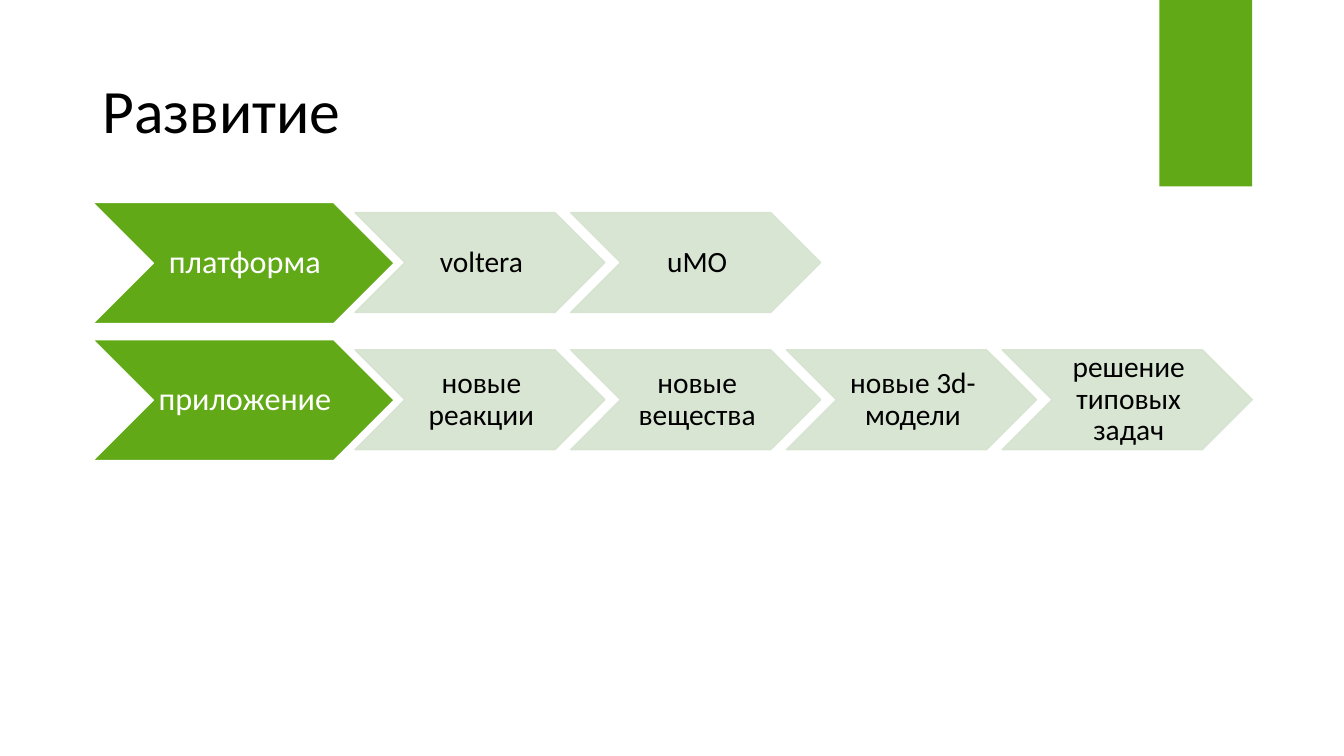
from pptx import Presentation
from pptx.dml.color import RGBColor
from pptx.enum.shapes import MSO_SHAPE
from pptx.enum.text import MSO_ANCHOR, PP_ALIGN
from pptx.oxml.ns import qn
from pptx.util import Inches, Pt
from lxml import etree

RECT, CHEVRON = MSO_SHAPE.RECTANGLE, MSO_SHAPE.CHEVRON
MIDDLE = MSO_ANCHOR.MIDDLE
LEFT, CENTER = PP_ALIGN.LEFT, PP_ALIGN.CENTER

COLORS = {"green": "61A917", "pale": "D5E3CF", "white": "FFFFFF", "black": "000000"}
FONT = "Calibri"

# Chevron formats
HEAD = {"fill": "green", "line": "white", "color": "white", "size": 23, "pad": 0.02}
STEP = {"fill": "pale", "line": "pale", "color": "black", "size": 21, "pad": 0.01,
        "opacity": 90}

ROWS = [
    ("платформа", ["voltera", "uMO"]),
    ("приложение", ["новые реакции", "новые вещества", "новые 3d-модели",
                    "решение типовых задач"]),
]


class SlideBuilder:
    def __init__(self, slide):
        self.s = slide

    def rgb(self, name):
        return RGBColor.from_string(COLORS[name])

    def add_text(self, sp, text, size, color, align, margins):
        tf = sp.text_frame
        settings = {"word_wrap": True, "vertical_anchor": MIDDLE}
        for side, inset in zip(("left", "top", "right", "bottom"), margins):
            settings[f"margin_{side}"] = Inches(inset)
        for name, value in settings.items():
            setattr(tf, name, value)
        p = tf.paragraphs[0]
        p.alignment, p.line_spacing = align, 0.9
        r = p.add_run()
        r.text = text
        for name, value in {"name": FONT, "size": Pt(size)}.items():
            setattr(r.font, name, value)
        r.font.color.rgb = self.rgb(color)

    def shape(self, kind, x, y, w, h, fill, line=None, opacity=100):
        sp = self.s.shapes.add_shape(kind, Inches(x), Inches(y), Inches(w), Inches(h))
        sp.shadow.inherit = False
        sp.fill.solid()
        sp.fill.fore_color.rgb = self.rgb(fill)
        if line:
            sp.line.color.rgb = self.rgb(line)
            sp.line.width = Pt(1)
        else:
            sp.line.fill.background()
        if opacity < 100:
            for clr in sp._element.spPr.iter(qn("a:srgbClr")):
                etree.SubElement(clr, qn("a:alpha"), val=str(opacity * 1000))
        return sp

    def chevron(self, text, x, y, w, h, fmt):
        sp = self.shape(CHEVRON, x, y, w, h, fmt["fill"], fmt["line"],
                        fmt.get("opacity", 100))
        self.add_text(sp, text, fmt["size"], fmt["color"], CENTER,
                      (0.03, fmt["pad"], 0, fmt["pad"]))

    def title(self, text, x, y, w, h):
        sp = self.s.shapes.add_textbox(Inches(x), Inches(y), Inches(w), Inches(h))
        self.add_text(sp, text, 44, "black", LEFT, (0.1, 0.05, 0.1, 0.05))


def main():
    prs = Presentation()
    prs.slide_width, prs.slide_height = Inches(13.33), Inches(7.5)
    b = SlideBuilder(prs.slides.add_slide(prs.slide_layouts[6]))

    # Corner block
    b.shape(RECT, 11.5, 0, 0.92, 1.85, "green")

    # Chevron rows: a heading followed by its steps
    for row, (heading, steps) in enumerate(ROWS):
        y = 2.01 + 1.36 * row
        b.chevron(heading, 0.92, y, 2.99, 1.2, HEAD)
        for col, step in enumerate(steps):
            b.chevron(step, 3.52 + 2.14 * col, y + 0.1, 2.48, 0.99, STEP)

    # Title
    b.title("Развитие", 0.92, 0.4, 11.5, 1.45)

    prs.save("out.pptx")


if __name__ == "__main__":
    main()
